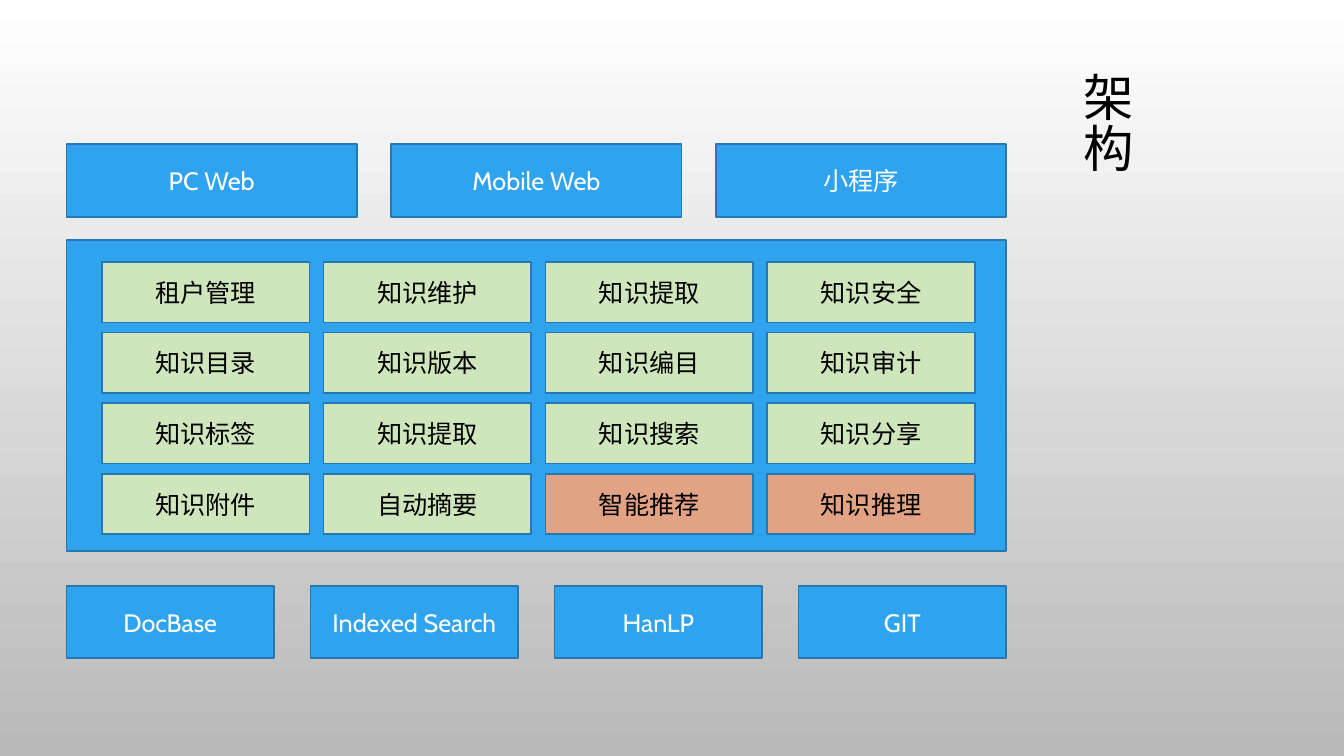
from pptx import Presentation
from pptx.dml.color import RGBColor
from pptx.enum.shapes import MSO_SHAPE
from pptx.enum.text import MSO_ANCHOR, MSO_AUTO_SIZE, PP_ALIGN
from pptx.util import Inches, Pt

RECTANGLE = MSO_SHAPE.RECTANGLE
MIDDLE = MSO_ANCHOR.MIDDLE
NO_AUTOFIT = MSO_AUTO_SIZE.NONE
LEFT, CENTER = PP_ALIGN.LEFT, PP_ALIGN.CENTER

FONT = "Cabin"
WHITE = RGBColor(0xFF, 0xFF, 0xFF)
BLACK = RGBColor(0x00, 0x00, 0x00)
GRAY = RGBColor(0xB9, 0xB9, 0xB9)
BLUE = RGBColor(0x2F, 0xA3, 0xEE)
DARK_BLUE = RGBColor(0x23, 0x79, 0xB0)
GREEN = RGBColor(0xCF, 0xE6, 0xBC)
ORANGE = RGBColor(0xE2, 0xA3, 0x85)

CLIENTS = ["PC Web", "Mobile Web", "小程序"]
SERVICE_COLUMNS = [
    ["租户管理", "知识目录", "知识标签", "知识附件"],
    ["知识维护", "知识版本", "知识提取", "自动摘要"],
    ["知识提取", "知识编目", "知识搜索", "智能推荐"],
    ["知识安全", "知识审计", "知识分享", "知识推理"],
]
SMART_SERVICES = ["智能推荐", "知识推理"]
FOUNDATIONS = ["DocBase", "Indexed Search", "HanLP", "GIT"]


def add_box(page, left, top, width, height, text="", fill=BLUE, color=WHITE):
    box = page.shapes.add_shape(
        RECTANGLE, Inches(left), Inches(top), Inches(width), Inches(height))
    box.shadow.inherit = False
    box.fill.solid()
    box.fill.fore_color.rgb = fill
    box.line.color.rgb = DARK_BLUE
    box.line.width = Pt(1.25)
    if text:
        box.text_frame.text = text
        box.text_frame.vertical_anchor = MIDDLE
        para = box.text_frame.paragraphs[0]
        para.alignment = CENTER
        para.font.name = FONT
        para.font.size = Pt(18)
        para.font.color.rgb = color


deck = Presentation()
deck.slide_width = Inches(13.33)
deck.slide_height = Inches(7.5)
page = deck.slides.add_slide(deck.slide_layouts[5])

# Background: white at the top, gray at the bottom
background = page.background.fill
background.gradient()
background.gradient_angle = 270
for stop, color in zip(background.gradient_stops, [WHITE, GRAY]):
    stop.color.rgb = color

# Vertical title
title = page.shapes.title
title.left, title.top = Inches(9.54), Inches(0.67)
title.width, title.height = Inches(2.79), Inches(5.67)
frame = title.text_frame
frame.text = "架构"
frame.auto_size = NO_AUTOFIT
frame.vertical_anchor = MIDDLE
frame._txBody.bodyPr.set("vert", "eaVert")
para = frame.paragraphs[0]
para.alignment = LEFT
para.line_spacing = 0.9
para.font.name = FONT
para.font.size = Pt(36)
para.font.color.rgb = BLACK

# Client and foundation layers
for i, name in enumerate(CLIENTS):
    add_box(page, 0.66 + i * 3.22, 1.43, 2.88, 0.72, name)
for i, name in enumerate(FOUNDATIONS):
    add_box(page, 0.66 + i * 2.42, 5.81, 2.06, 0.72, name)

# Service layer
add_box(page, 0.66, 2.38, 9.32, 3.09)
for column, services in enumerate(SERVICE_COLUMNS):
    for row, name in enumerate(services):
        fill = ORANGE if name in SMART_SERVICES else GREEN
        add_box(page, 1.01 + column * 2.2, 2.6 + row * 0.7, 2.06, 0.6,
                name, fill, BLACK)

deck.save("out.pptx")
